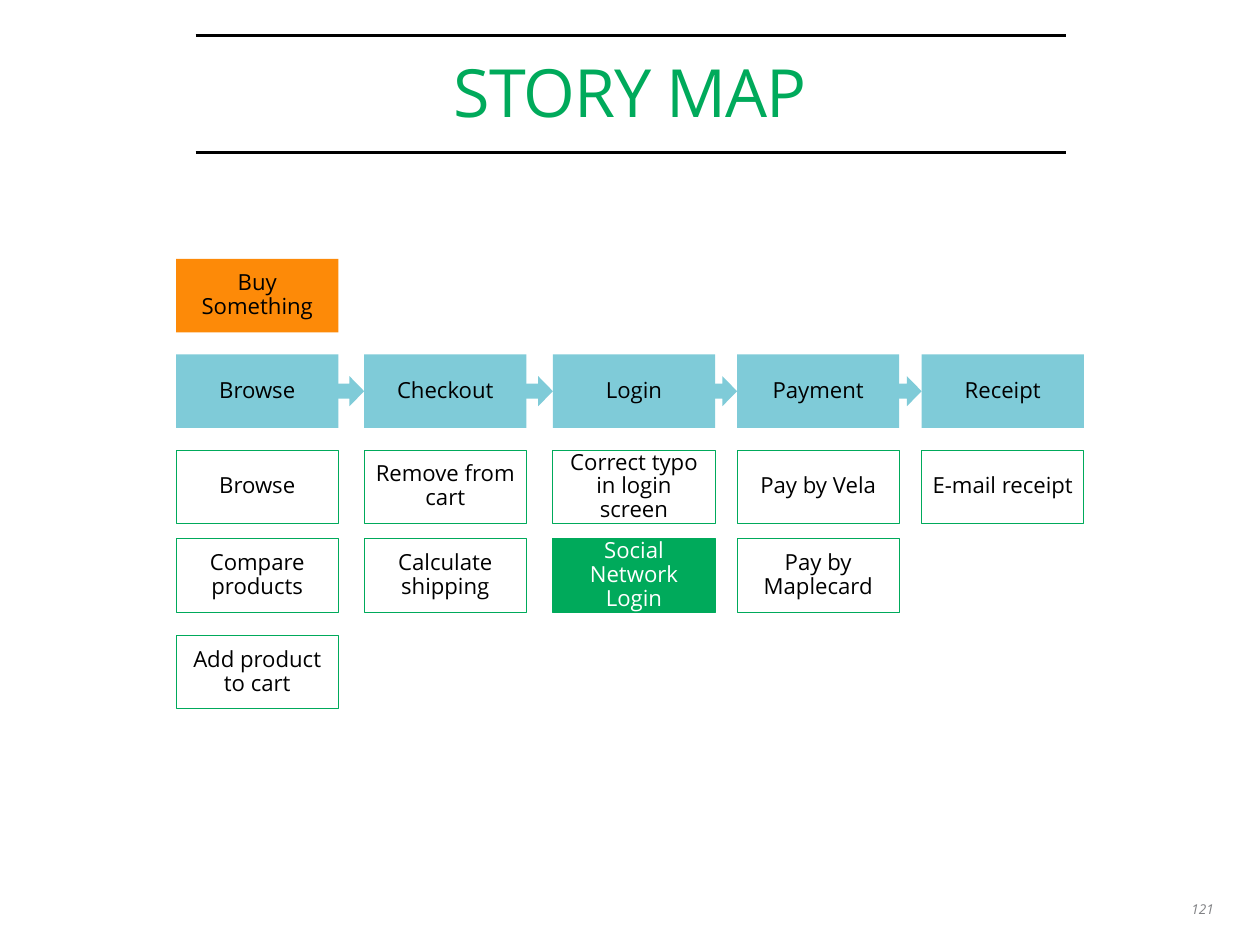
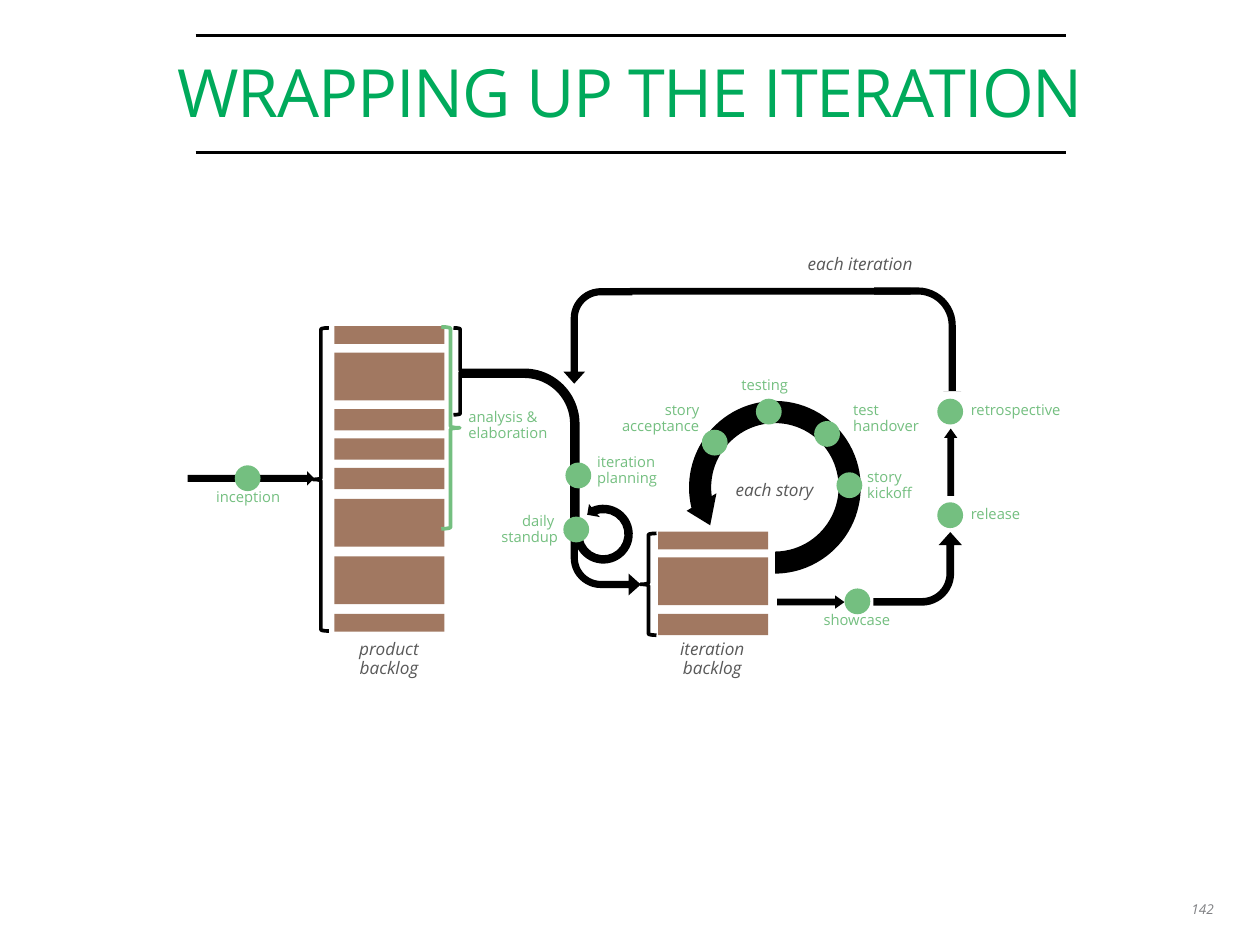
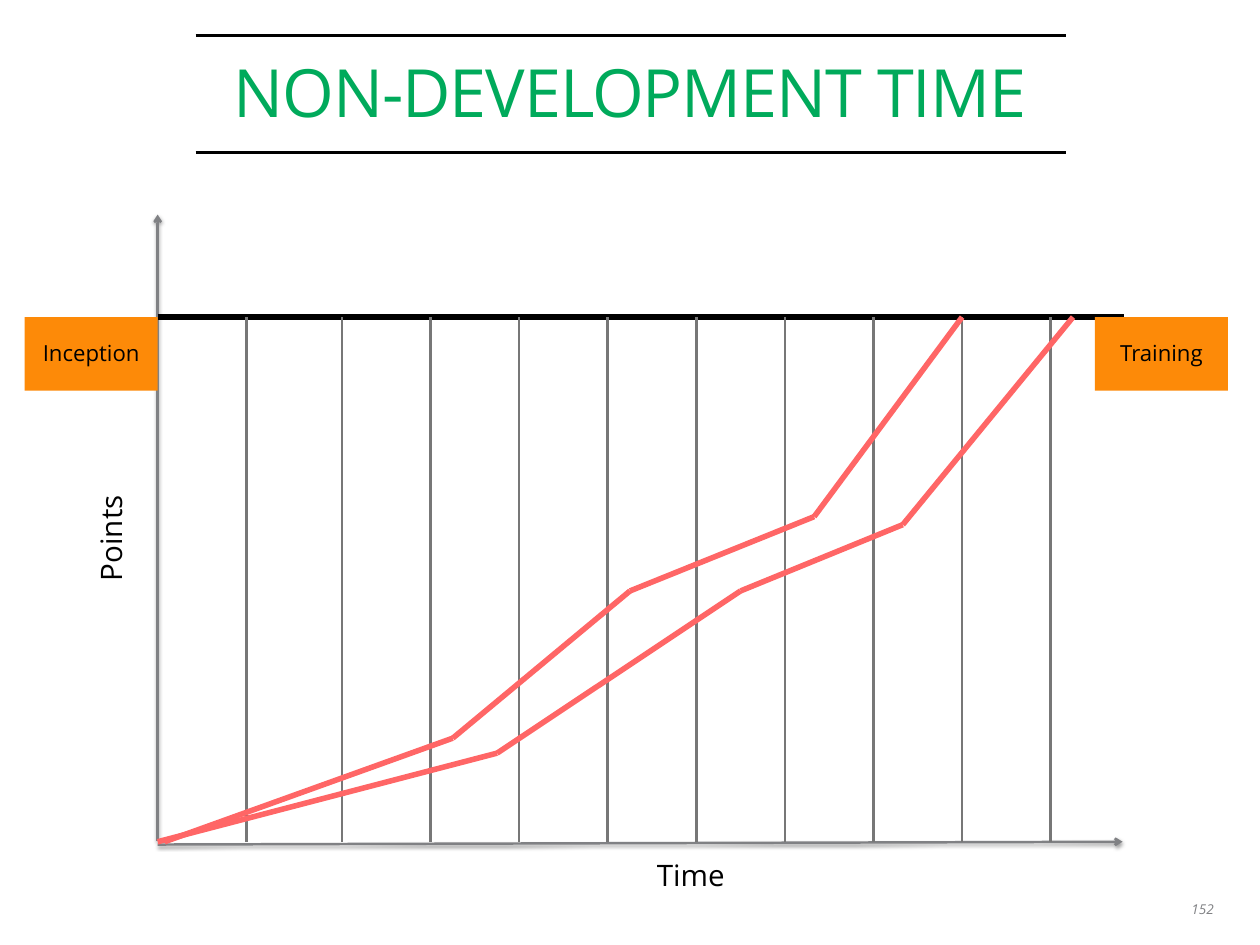
"""Build three agile training slides: a story map, an iteration cycle and a burn-up sketch."""
import pptx
import pptx.dml.color
import pptx.enum.shapes
import pptx.enum.text
import pptx.oxml
import pptx.oxml.ns
import pptx.util

Cm = pptx.util.Cm
Pt = pptx.util.Pt
SHAPE = pptx.enum.shapes.MSO_SHAPE
ALIGN = pptx.enum.text.PP_ALIGN
ANCHOR = pptx.enum.text.MSO_ANCHOR

COLORS = {
    "black": "000000", "white": "FFFFFF", "green": "00AA5B", "leaf": "74BF80",
    "teal": "7FCBD8", "orange": "FD8A08", "brown": "A17861", "gray": "808184",
    "grid": "777777", "label": "595959", "coral": "FF6666",
}
FONT = "Open Sans"
SLIDE_W, SLIDE_H = 36.12, 27.09

STYLES = {
    "title": {"size": 54, "color": "green", "spacing": 0.7},
    "page": {"size": 11, "color": "gray", "italic": True, "spacing": 1.0},
    "card": {"size": 18, "color": "black"},
    "card_done": {"size": 18, "color": "white"},
    "stage": {"size": 14, "color": "label", "italic": True},
    "event": {"size": 12, "color": "leaf"},
    "axis": {"size": 24, "color": "black"},
}
NO_MARGINS = dict.fromkeys(("margin_left", "margin_right", "margin_top", "margin_bottom"), 0)
AXIS_MARGINS = {"margin_left": Cm(0.36), "margin_right": Cm(0.36),
                "margin_top": Cm(0.18), "margin_bottom": Cm(0.18)}

CARD_W, CARD_H = 4.65, 2.11
GOAL = "Buy Something"
GOAL_TOP, STEP_TOP = 7.42, 10.16
STORY_TOPS = (12.9, 15.44, 18.21)
STEP_ARROW = (0.84, 0.86)
STEPS = [
    (5.05, "Browse", ["Browse", "Compare products", "Add product to cart"]),
    (10.44, "Checkout", ["Remove from cart", "Calculate shipping"]),
    (15.85, "Login", ["Correct typo in login screen", "Social Network Login"]),
    (21.13, "Payment", ["Pay by Vela", "Pay by Maplecard"]),
    (26.42, "Receipt", ["E-mail receipt"]),
]
DONE_STORIES = {"Social Network Login"}

BLOCK_W = 3.15
BACKLOGS = [
    (9.59, [(9.35, 0.51), (10.11, 1.37), (11.73, 0.61), (12.57, 0.61),
            (13.41, 0.61), (14.3, 1.37), (15.95, 1.37), (17.6, 0.51)]),
    (18.87, [(15.24, 0.51), (15.98, 1.37), (17.6, 0.61)]),
]
WIDE_BEND = (0.075, 0.093, 0, 0.438)
LOOP_BEND = (0.082, 0.102, 0, 0.438)
BEND = (0.104, 0.158, 0.176, 0.438)
SHORT_HEAD = (0.5, 0.704)
PATHS = [
    (SHAPE.CIRCULAR_ARROW, (19.56, 11.33, 5.31, 5.28), 282.3, "flipH",
     (0.12, 11.423, 176.194, 7.517, 0.094)),
    (SHAPE.RIGHT_ARROW, (5.38, 13.51, 3.63, 0.41), 0, None, ()),
    (SHAPE.BENT_ARROW, (12.65, 11.1, 4.7, 3.63), 90, None, WIDE_BEND),
    (SHAPE.BENT_ARROW, (15.77, 8.64, 2.74, 1.98), 90, "flipV", BEND),
    (SHAPE.BENT_ARROW, (24.82, 8.48, 2.97, 2.49), 90, None, LOOP_BEND),
    (SHAPE.BENT_ARROW, (25.25, 15.04, 2.11, 2.54), 270, "flipV", BEND),
    (SHAPE.BENT_ARROW, (16.36, 15.09, 2.01, 1.98), 0, "flipV", BEND),
    (SHAPE.RECTANGLE, (18.06, 8.25, 8.05, 0.2), 0, None, ()),
    (SHAPE.CIRCULAR_ARROW, (16.33, 14.35, 1.93, 1.93), 230.2, "flipV",
     (0.125, 11.423, 204.577, 13.181, 0.125)),
    (SHAPE.RIGHT_ARROW, (22.28, 17.07, 1.93, 0.38), 0, None, SHORT_HEAD),
    (SHAPE.RIGHT_ARROW, (26.29, 13.06, 1.93, 0.38), 270, None, SHORT_HEAD),
]
BRACES = [
    ((8.97, 9.4, 0.46, 8.69), 0, "black"),
    ((13, 9.4, 0.38, 2.49), 180, "black"),
    ((18.36, 15.29, 0.46, 2.92), 0, "black"),
    ((12.65, 9.37, 0.53, 5.79), 180, "leaf"),
]
STAGES = [
    ("product\nbacklog", (9.6, 18.24, 3.1, 1.35)),
    ("iteration\nbacklog", (18.87, 18.24, 3.1, 1.35)),
    ("each story", (20.68, 13.67, 3.05, 0.81)),
    ("each iteration", (22.3, 7.19, 4.72, 0.81)),
]
DOT = 0.74
EVENTS = [
    ("inception", (6.73, 13.34), (5.36, 13.92, 3.51, 0.74), ALIGN.CENTER),
    ("analysis &\nelaboration", None, (13.18, 11.63, 3.51, 1.19), ALIGN.LEFT),
    ("iteration\nplanning", (16.21, 13.26), (16.87, 12.9, 3.51, 1.19), ALIGN.LEFT),
    ("daily \nstandup", (16.15, 14.81), (13.61, 14.61, 2.64, 1.19), ALIGN.RIGHT),
    ("story\nkickoff", (23.98, 13.54), (24.61, 13.34, 2.34, 1.19), ALIGN.LEFT),
    ("test \nhandover", (23.34, 12.07), (24.21, 11.43, 2.74, 1.19), ALIGN.LEFT),
    ("testing", (21.67, 11.43), (20.17, 10.69, 3.51, 0.74), ALIGN.CENTER),
    ("story acceptance", (20.12, 12.32), (16.79, 11.43, 3.51, 1.19), ALIGN.RIGHT),
    ("showcase", (24.21, 16.87), (22.81, 17.45, 3.51, 0.74), ALIGN.CENTER),
    ("release", (26.87, 14.4), (27.58, 14.4, 3.51, 0.74), ALIGN.LEFT),
    ("retrospective", (26.87, 11.43), (27.58, 11.43, 3.51, 0.74), ALIGN.LEFT),
]

ORIGIN_X, BASE_Y, SCOPE_Y = 4.52, 24.13, 9.09
AXES = [((ORIGIN_X, 24.1), (ORIGIN_X, 6.15)), ((ORIGIN_X, 24.21), (32.18, BASE_Y))]
AXIS_LABELS = [("Points", (0.74, 14.78, 5, 1.3), 270), ("Time", (17.3, 24.49, 5, 1.3), 0)]
ITERATION_XS = [7.06] + [9.8 + 2.54 * i for i in range(9)]
TRENDS = [
    [(4.72, BASE_Y), (12.98, 21.16), (18.06, 16.94), (23.34, 14.81), (27.58, SCOPE_Y)],
    [(ORIGIN_X, BASE_Y), (14.25, 21.59), (21.23, 16.94), (25.88, 15.04), (30.76, SCOPE_Y)],
]
PHASES = [("Inception", 0.71), ("Training", 31.39)]
PHASE_W = 3.81

AXIS_SHADOW = (
    '<a:outerShdw blurRad="40000" dist="20000" dir="5400000" rotWithShape="0">'
    '<a:srgbClr val="000000"><a:alpha val="38000"/></a:srgbClr></a:outerShdw>'
)


def rgb(color):
    return pptx.dml.color.RGBColor.from_string(COLORS[color])


def xml(tag, inner=""):
    return pptx.oxml.parse_xml(f'<a:{tag} {pptx.oxml.ns.nsdecls("a")}>{inner}</a:{tag.split()[0]}>')


def write(frame, text, style, align=ALIGN.CENTER, **settings):
    look = STYLES[style]
    font_values = {"name": FONT, "size": Pt(look["size"]), "italic": look.get("italic", False)}
    for name, value in {"word_wrap": True, **settings}.items():
        setattr(frame, name, value)
    for index, line in enumerate(text.split("\n")):
        paragraph = frame.add_paragraph() if index else frame.paragraphs[0]
        paragraph.alignment = align
        paragraph.line_spacing = look.get("spacing", 0.9)
        run = paragraph.add_run()
        run.text = line
        for name, value in font_values.items():
            setattr(run.font, name, value)
        run.font.color.rgb = rgb(look["color"])
    return run


def add_label(slide, box, text, style, align=ALIGN.CENTER, rotation=0, **settings):
    label = slide.shapes.add_textbox(*map(Cm, box))
    label.rotation = rotation
    return write(label.text_frame, text, style, align, **settings)


def add_part(slide, kind, box, fill=None, outline=None, width=0.75, rotation=0):
    part = slide.shapes.add_shape(kind, *map(Cm, box))
    part.shadow.inherit = False
    part.rotation = rotation
    for paint, color in ((part.fill, fill), (part.line.fill, outline)):
        if color:
            paint.solid()
            paint.fore_color.rgb = rgb(color)
        else:
            paint.background()
    if outline:
        part.line.width = Pt(width)
    return part


def add_card(slide, box, text, fill, outline=None, style="card"):
    card = add_part(slide, SHAPE.RECTANGLE, box, fill, outline)
    write(card.text_frame, text, style, vertical_anchor=ANCHOR.MIDDLE)


def add_line(slide, start, end, color, width, axis=False):
    line = slide.shapes.add_connector(
        pptx.enum.shapes.MSO_CONNECTOR.STRAIGHT, *map(Cm, (*start, *end)))
    line.line.color.rgb = rgb(color)
    line.line.width = Pt(width)
    if axis:
        line.line._get_or_add_ln().append(xml('tailEnd type="arrow"'))
    line._element.spPr.append(xml("effectLst", AXIS_SHADOW if axis else ""))


def add_slide(deck, title, page):
    slide = deck.slides.add_slide(deck.slide_layouts[6])
    for y in (1.02, 4.37):
        add_line(slide, (5.61, y), (30.56, y), "black", 2)
    run = add_label(slide, (0, 1.88, SLIDE_W, 2.01), title, "title",
                    vertical_anchor=ANCHOR.MIDDLE, **NO_MARGINS)
    run.font._element.set("spc", "-90")
    add_label(slide, (33, 25.7, 2.05, 0.81), page, "page", ALIGN.RIGHT)
    return slide


def draw_story_map(slide):
    add_card(slide, (STEPS[0][0], GOAL_TOP, CARD_W, CARD_H), GOAL, "orange")
    arrow_w, arrow_h = STEP_ARROW
    for index, (left, step, stories) in enumerate(STEPS):
        add_card(slide, (left, STEP_TOP, CARD_W, CARD_H), step, "teal")
        if index:
            arrow_top = STEP_TOP + (CARD_H - arrow_h) / 2
            add_part(slide, SHAPE.RIGHT_ARROW, (left - arrow_w, arrow_top, *STEP_ARROW), "teal")
        for top, story in zip(STORY_TOPS, stories):
            fill, style = ("green", "card_done") if story in DONE_STORIES else ("white", "card")
            add_card(slide, (left, top, CARD_W, CARD_H), story, fill, "green", style)


def draw_iteration(slide):
    for kind, box, rotation, flip, adjustments in PATHS:
        path_part = add_part(slide, kind, box, "black", rotation=rotation)
        if flip:
            path_part._element.spPr.xfrm.set(flip, "1")
        for index, value in enumerate(adjustments):
            path_part.adjustments[index] = value
    for left, blocks in BACKLOGS:
        for top, height in blocks:
            add_part(slide, SHAPE.RECTANGLE, (left, top, BLOCK_W, height), "brown")
    for box, rotation, color in BRACES:
        add_part(slide, SHAPE.LEFT_BRACE, box, None, color, 3, rotation)
    for text, box in STAGES:
        add_label(slide, box, text, "stage")
    for text, dot, box, align in EVENTS:
        if dot:
            add_part(slide, SHAPE.OVAL, (*dot, DOT, DOT), "leaf")
        add_label(slide, box, text, "event", align)


def draw_burn_up(slide):
    for start, end in AXES:
        add_line(slide, start, end, "gray", 2, axis=True)
    for text, box, rotation in AXIS_LABELS:
        add_label(slide, box, text, "axis", rotation=rotation, **AXIS_MARGINS)
    add_line(slide, (ORIGIN_X, SCOPE_Y), (32.23, SCOPE_Y), "black", 4.5)
    for x in ITERATION_XS:
        add_line(slide, (x, SCOPE_Y), (x, BASE_Y), "grid", 2)
    for trend in TRENDS:
        for start, end in zip(trend, trend[1:]):
            add_line(slide, start, end, "coral", 4.5)
    for phase, left in PHASES:
        add_card(slide, (left, SCOPE_Y, PHASE_W, CARD_H), phase, "orange")


SLIDES = [
    ("STORY MAP", "121", draw_story_map),
    ("WRAPPING UP THE ITERATION", "142", draw_iteration),
    ("NON-DEVELOPMENT TIME", "152", draw_burn_up),
]


def main():
    deck = pptx.Presentation()
    deck.slide_width, deck.slide_height = Cm(SLIDE_W), Cm(SLIDE_H)
    for title, page, draw in SLIDES:
        draw(add_slide(deck, title, page))
    deck.save("out.pptx")


if __name__ == "__main__":
    main()
